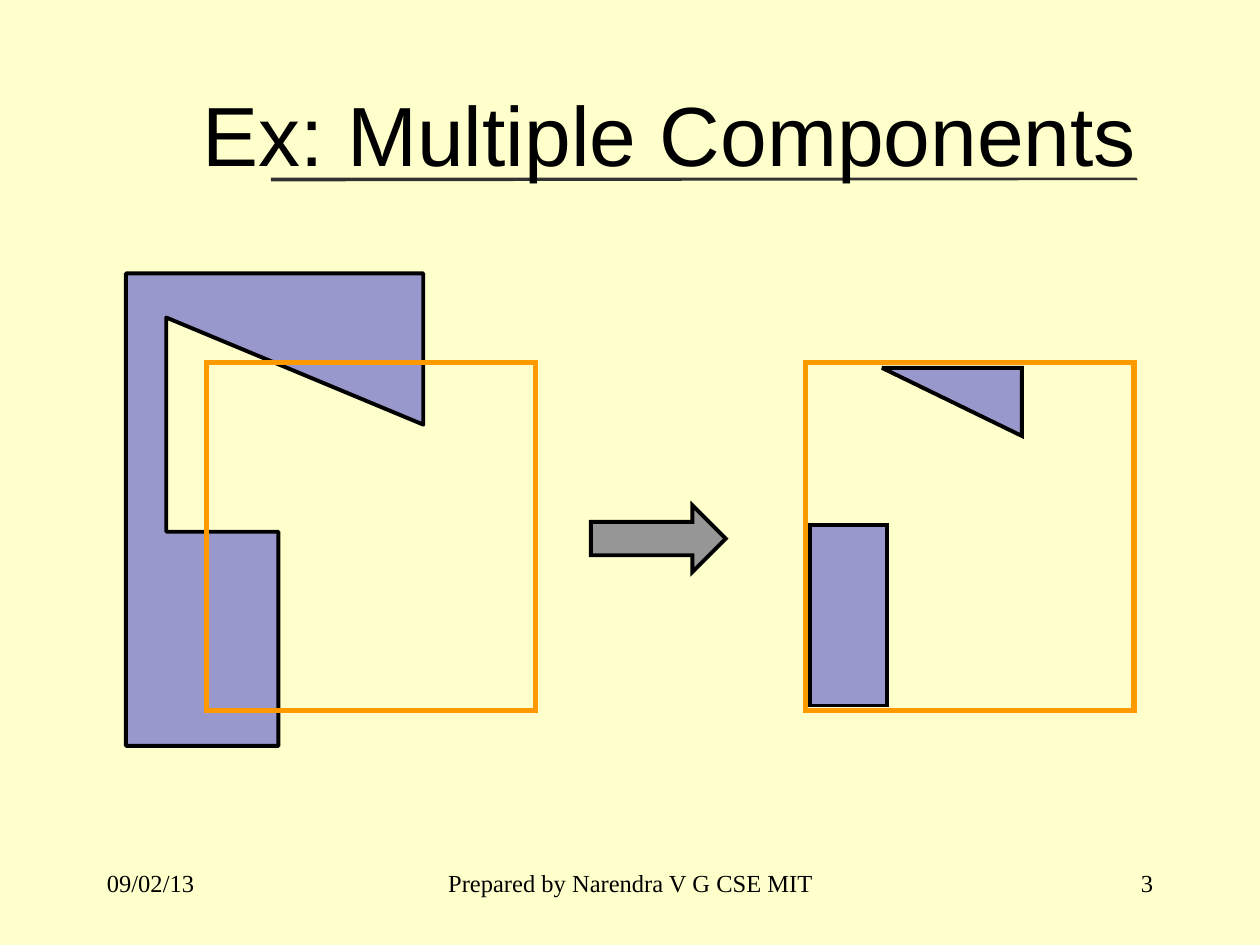
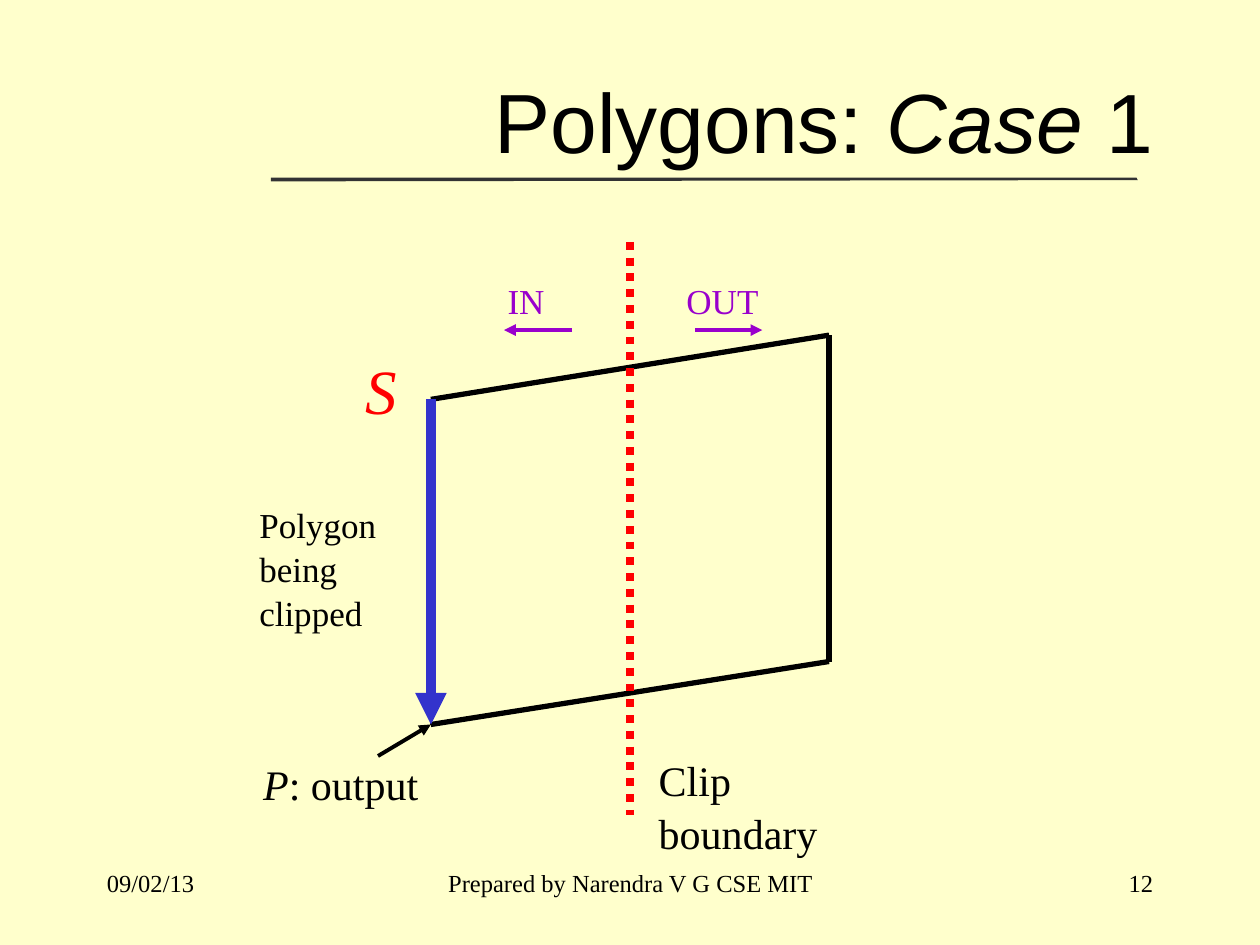
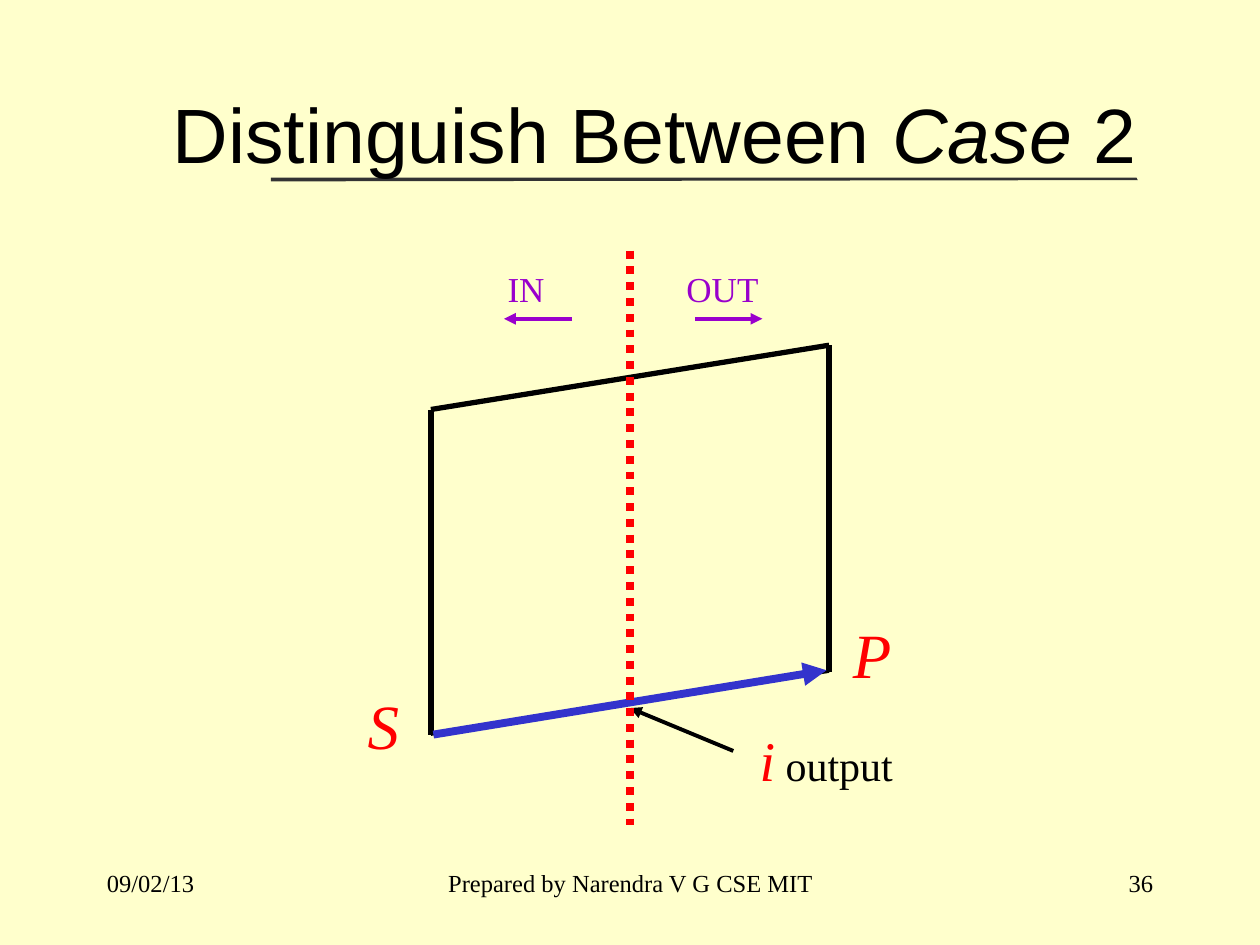
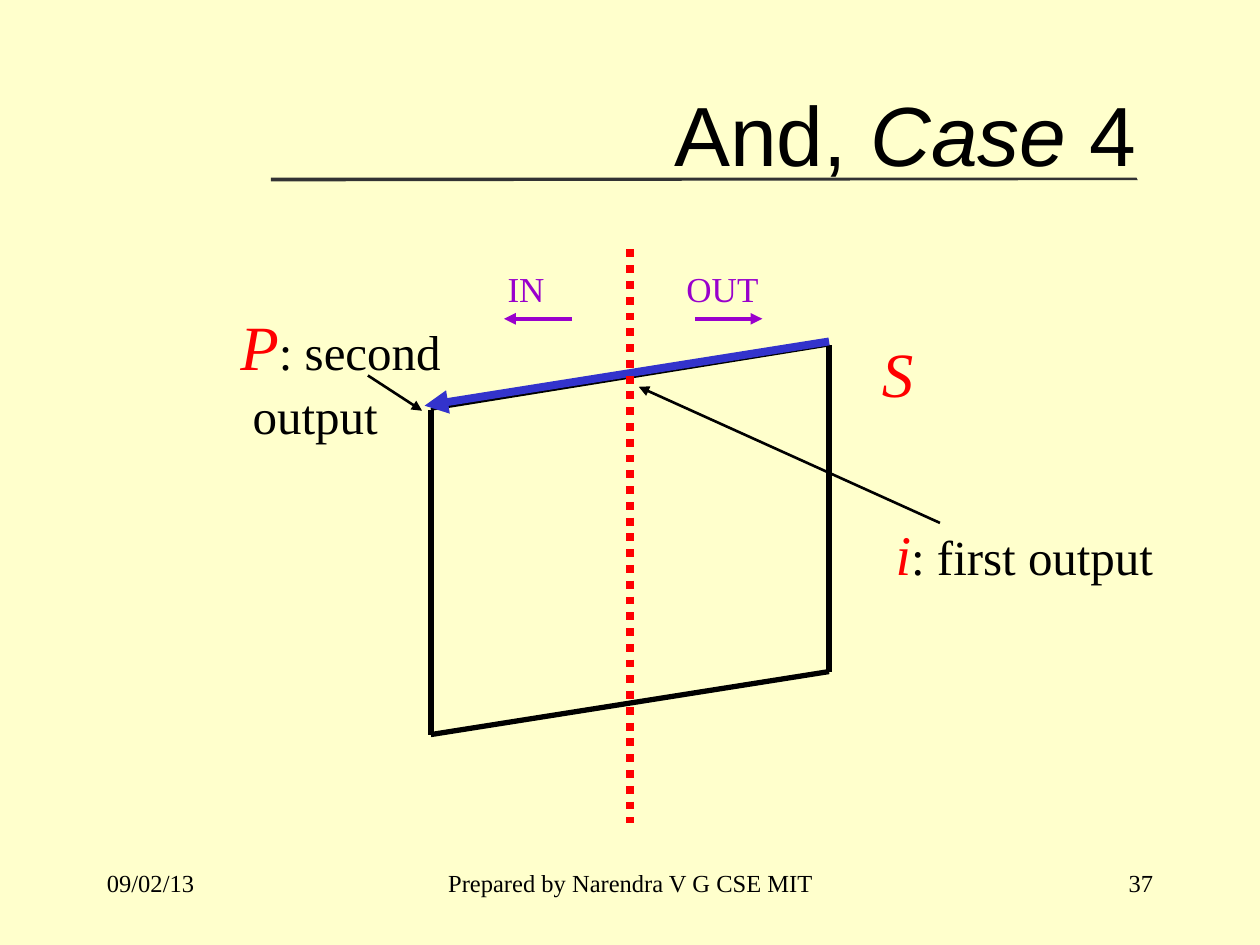
"""Build four slides on polygon clipping."""
from lxml import etree
from pptx import Presentation
from pptx import util as u
from pptx.dml.color import RGBColor
from pptx.enum import dml, shapes, text
from pptx.oxml.ns import qn

PX = 9144
PAPER, INK, RULE = "FFFFCC", "000000", "333333"
RED, BLUE, PURPLE, ORANGE, GRAY = "FF0000", "3333CC", "9900CC", "FF9900", "969696"
SERIF, SANS = "Times New Roman", "Arial"
SHAPE, ALIGN, FIT = shapes.MSO_SHAPE, text.PP_ALIGN, text.MSO_AUTO_SIZE

POINT = (36, RED, True)
CROSS = (32, RED, True)
SIDE = (20, PURPLE, False)
NOTE = (20, INK, False)
BODY = (24, INK, False)
LARGE = (28, INK, False)
FOOT = (14, INK, False)

BAR = [(215, 141), (902, 141), (903, 143), (215, 144)]
DATE, AUTHOR = "09/02/13", "Prepared by Narendra V G CSE MIT"

SUBJECT = [(100, 217), (100, 592), (221, 592), (221, 422), (132, 422),
           (132, 252), (336, 337), (336, 217)]
PARTS = [
    (SHAPE.RECTANGLE, (164, 288, 261, 276), None, ORANGE, 3, 0),
    (SHAPE.RECTANGLE, (643, 417, 61, 143), BLUE, INK, 2.25, 0),
    (SHAPE.RIGHT_TRIANGLE, (700, 292, 111, 54), BLUE, INK, 2.25, 180),
    (SHAPE.RECTANGLE, (639, 288, 261, 276), None, ORANGE, 3, 0),
    (SHAPE.RIGHT_ARROW, (469, 401, 107, 53), GRAY, INK, 2.25, 0),
]

CASES = [
    dict(page=12, title=["Polygons: ", "Case", " 1"], size=48, place=(75, 33, 850, 125),
         drop=0, thin="left", clip=(192, 647), side=215,
         path=((342, 317), (342, 575), 6),
         hints=[((300, 600), (342, 575), 2.25)],
         labels=[((196, 393, 113, 110), [[("Polygon", NOTE)], [("being", NOTE)], [("clipped", NOTE)]]),
                 ((199, 595, 143, 50), [[("P", (24, INK, True)), (": output", BODY)]]),
                 ((513, 592, 146, 90), [[("Clip", BODY)], [("boundary", BODY)]]),
                 ((280, 271, 45, 70), [[("S", POINT)]])]),
    dict(page=36, title=["Distinguish Between ", "Case", " 2"], size=44, place=(75, 43, 837, 125),
         drop=8, thin="bottom", clip=(199, 655), side=206,
         path=((344, 583), (656, 532), 4.5),
         hints=[((582, 596), (500, 562), 2.25)],
         labels=[((282, 537, 45, 70), [[("S", POINT)]]),
                 ((593, 568, 126, 64), [[("i", CROSS), (" output", BODY)]]),
                 ((667, 481, 50, 70), [[("P", POINT)]])]),
    dict(page=37, title=["And, ", "Case", " 4"], size=48, place=(75, 43, 837, 125),
         drop=8, thin="top", clip=(198, 653), side=206,
         path=((658, 271), (337, 322), 4.5),
         hints=[((292, 298), (335, 326), 1.5), ((746, 415), (507, 307), 1.5)],
         labels=[((181, 236, 179, 117), [[("P", POINT), (": second", LARGE)], [(" output", LARGE)]]),
                 ((701, 405, 274, 64), [[("i", CROSS), (": first output", LARGE)]]),
                 ((690, 258, 45, 70), [[("S", POINT)]])]),
]


def color(code):
    return RGBColor.from_string(code)


def emu(*sizes):
    return [round(size * PX) for size in sizes]


def style(font, look, face):
    font.name = face
    font.size, font.italic = u.Pt(look[0]), look[2]
    font.color.rgb = color(look[1])


def write(frame, paras, face=SERIF, align=ALIGN.LEFT):
    """Fill a frame; runs unlike the first of their paragraph get their own font."""
    for i, runs in enumerate(paras):
        para = frame.paragraphs[0] if i == 0 else frame.add_paragraph()
        para.alignment = align
        base = runs[0][1]
        style(para.font, base, face)
        if face == SERIF:
            para.line_spacing = 1.05
        for words, look in runs:
            run = para.add_run()
            run.text = words
            if look != base:
                style(run.font, look, face)


def label(slide, place, paras, align=ALIGN.LEFT, grow=True):
    frame = slide.shapes.add_textbox(*emu(*place)).text_frame
    frame.word_wrap = not grow
    frame.auto_size = FIT.SHAPE_TO_FIT_TEXT if grow else FIT.NONE
    write(frame, paras, align=align)


def line(slide, start, end, width, code=INK, arrow=False, dots=False):
    item = slide.shapes.add_connector(shapes.MSO_CONNECTOR.STRAIGHT, *emu(*start, *end))
    item.line.color.rgb, item.line.width = color(code), u.Pt(width)
    if dots:
        item.line.dash_style = dml.MSO_LINE.ROUND_DOT
    props = item.element.spPr
    if arrow:
        etree.SubElement(props.find(qn("a:ln")), qn("a:tailEnd"), type="triangle")
    etree.SubElement(props, qn("a:effectLst"))


def paint(item, fill, edge=None, width=0):
    """Set fill and outline; blue areas are half transparent."""
    item.shadow.inherit = False
    if fill:
        item.fill.solid()
        item.fill.fore_color.rgb = color(fill)
    else:
        item.fill.background()
    if fill == BLUE:
        tint = item.element.spPr.find(qn("a:solidFill"))[0]
        etree.SubElement(tint, qn("a:alpha"), val="50000")
    if edge:
        item.line.color.rgb, item.line.width = color(edge), u.Pt(width)
    else:
        item.line.fill.background()


def outline(slide, points):
    pen = slide.shapes.build_freeform(*points[0], scale=PX)
    pen.add_line_segments(points[1:], close=True)
    return pen.convert_to_shape()


def start(deck, page, title, size, place):
    """Add a slide with its title and footer."""
    slide = deck.slides.add_slide(deck.slide_layouts[5])
    head = slide.shapes.title
    head.left, head.top, head.width, head.height = emu(*place)
    frame = head.text_frame
    frame.auto_size, frame.vertical_anchor = FIT.NONE, text.MSO_ANCHOR.MIDDLE
    runs = [(words, (size, INK, words == "Case")) for words in title]
    write(frame, [runs], SANS, ALIGN.RIGHT)
    for x, w, words, align in [(75, 208, DATE, ALIGN.LEFT), (342, 317, AUTHOR, ALIGN.CENTER),
                               (717, 208, str(page), ALIGN.RIGHT)]:
        label(slide, (x, 683, w, 50), [[(words, FOOT)]], align, grow=False)
    return slide


def theme(deck):
    """Give the master its background and the title layout its rule."""
    back = deck.slide_master.background.fill
    back.solid()
    back.fore_color.rgb = color(PAPER)
    layout = deck.slide_layouts[5]
    for spot in list(layout.placeholders):
        if spot.placeholder_format.idx:
            spot.element.getparent().remove(spot.element)
    return layout


def parts(deck):
    slide = start(deck, 3, ["Ex: Multiple Components"], 48, (75, 43, 837, 125))
    paint(outline(slide, SUBJECT), BLUE, INK, 2.25)
    for kind, place, fill, edge, width, turn in PARTS:
        item = slide.shapes.add_shape(kind, *emu(*place))
        paint(item, fill, edge, width)
        item.rotation = turn
        etree.SubElement(item.element.spPr.find(qn("a:ln")), qn("a:miter"), lim="800000")
    return slide


def case(deck, page, title, size, place, drop, thin, clip, side, path, hints, labels):
    slide = start(deck, page, title, size, place)
    a, b, c, d = [(x, y + drop) for x, y in [(342, 317), (658, 266), (658, 525), (342, 575)]]
    for name, ends in dict(left=(a, d), top=(a, b), bottom=(d, c), right=(b, c)).items():
        line(slide, *ends, 1.5 if name == thin else 3)
    line(slide, *path, BLUE, arrow=True)
    for spot, paras in labels:
        label(slide, spot, paras)
    for hint in hints:
        line(slide, *hint, arrow=True)
    line(slide, (500, clip[0]), (500, clip[1]), 4.5, RED, dots=True)
    for words, x, w, tail, tip in [("IN", 393, 49, 454, 400), ("OUT", 535, 77, 552, 605)]:
        label(slide, (x, side, w, 44), [[(words, SIDE)]])
        line(slide, (tail, side + 47), (tip, side + 47), 2.25, PURPLE, arrow=True)


def main():
    deck = Presentation()
    deck.slide_width, deck.slide_height = emu(1000, 750)
    layout = theme(deck)
    first = parts(deck)
    rule = outline(first, BAR)
    paint(rule, RULE)
    layout.shapes.element.append(rule.element)
    for data in CASES:
        case(deck, **data)
    deck.save("out.pptx")


if __name__ == "__main__":
    main()
